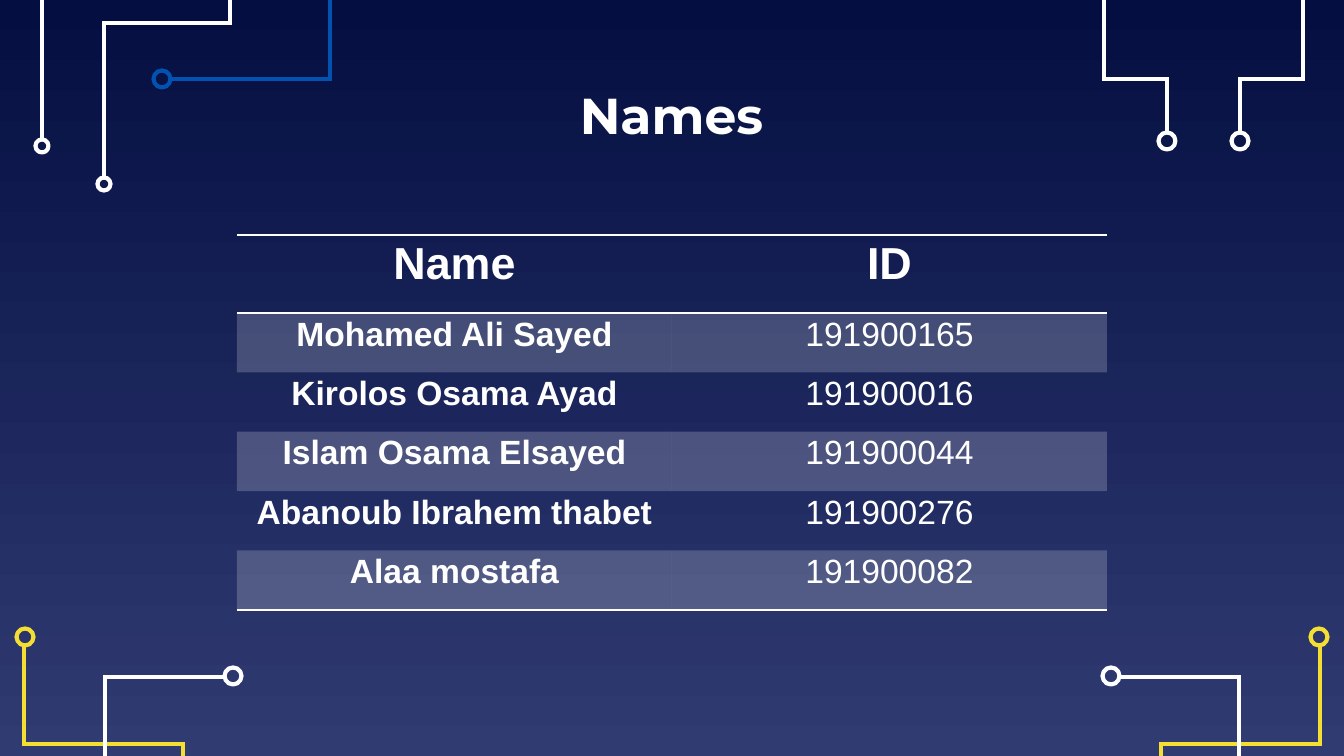
from pptx import Presentation
from pptx.dml.color import RGBColor
from pptx.enum.shapes import MSO_SHAPE as Shape
from pptx.enum.text import MSO_ANCHOR as Anchor, MSO_AUTO_SIZE as Fit, PP_ALIGN as Align
from pptx.oxml import parse_xml
from pptx.oxml.ns import nsdecls, qn
from pptx.util import Pt
from lxml.etree import SubElement

SCALE = 914400 / 134.4  # EMU in one px
WIDE, HIGH = 1344, 756

WHITE = RGBColor(0xFF, 0xFF, 0xFF)
YELLOW = RGBColor(0xF5, 0xDE, 0x34)
BLUE = RGBColor(0x01, 0x52, 0xB1)
NAVY = RGBColor(0x04, 0x0E, 0x41)
SLATE = RGBColor(0x30, 0x3B, 0x72)

NO_GRID = "{2D5ABB26-0587-4C30-8999-92F81FD0307C}"

ROWS = [
    ("Name", "ID"),
    ("Mohamed Ali Sayed", "191900165"),
    ("Kirolos Osama Ayad", "191900016"),
    ("Islam Osama Elsayed", "191900044"),
    ("Abanoub Ibrahem thabet", "191900276"),
    ("Alaa mostafa", "191900082"),
]

# Circuit traces: colour, ring centre, ring size, corner points
TOP = (WHITE, (1167, 141), 17, [(1167, 134), (1167, 79), (1104, 79), (1104, -70)])
GOLD = (YELLOW, (25, 637), 17, [(24, 645), (24, 744), (183, 744), (183, 839)])
LOW = (WHITE, (233, 676), 17, [(224, 677), (105, 677), (105, 825)])
LEFT = [
    (BLUE, (162, 79), 17, [(169, 79), (330, 79), (330, -69)]),
    (WHITE, (42, 146), 13, [(42, 139), (42, -15), (168, -15), (168, -169)]),
    (WHITE, (104, 184), 13, [(104, 177), (104, 23), (230, 23), (230, -132)]),
]


def px(n):
    return round(n * SCALE)


def flip(trace, total):
    """Mirror a trace left to right; total is the sum of both x values."""
    color, (x, y), size, points = trace
    return color, (total - x, y), size, [(total - a, b) for a, b in points]


def outline(shape, color):
    shape.shadow.inherit = False
    shape.fill.background()
    shape.line.color.rgb = color
    shape.line.width = Pt(2.25)


def add_trace(slide, color, ring, size, points):
    (x, y), *rest = points
    maker = slide.shapes.build_freeform(x, y, scale=SCALE)
    maker.add_line_segments(rest, close=False)
    wire = maker.convert_to_shape()
    outline(wire, color)
    SubElement(wire.line._get_or_add_ln(), qn("a:miter"), lim="800000")

    x, y = (c - size / 2 for c in ring)
    dot = slide.shapes.add_shape(Shape.OVAL, px(x), px(y), px(size), px(size))
    outline(dot, color)


def add_run(para, text, font, size, bold):
    para.alignment = Align.CENTER
    run = para.add_run()
    run.text = text
    run.font.name = font
    run.font.size = Pt(size)
    run.font.bold = bold
    run.font.color.rgb = WHITE


def set_title(slide, text):
    title = slide.shapes.title
    title.left, title.top, title.width, title.height = map(px, (218, 79, 907, 70))
    frame = title.text_frame
    frame.auto_size = Fit.NONE
    frame.word_wrap = True
    frame.vertical_anchor = Anchor.MIDDLE
    frame.margin_left = frame.margin_right = px(13)
    frame.margin_top = frame.margin_bottom = px(13)
    add_run(frame.paragraphs[0], text, "Montserrat", 27, True)


def add_rule(cell, side, spot):
    """Draw a 1 pt white border; borders come before the fill."""
    cell._tc.get_or_add_tcPr().insert(spot, parse_xml(
        f'<a:{side} {nsdecls("a")} w="12700"><a:solidFill>'
        f'<a:srgbClr val="{WHITE}"/></a:solidFill></a:{side}>'))


def fill_cell(cell, text, size, bold, shade):
    cell.margin_left = cell.margin_right = px(9)
    cell.margin_top = cell.margin_bottom = 0
    cell.vertical_anchor = Anchor.TOP
    para = cell.text_frame.paragraphs[0]
    para.line_spacing = 1.07
    add_run(para, text, "Arial", size, bold)
    if shade:
        cell.fill.solid()
        cell.fill.fore_color.rgb = WHITE
        tint = cell._tc.tcPr.find(".//" + qn("a:srgbClr"))
        SubElement(tint, qn("a:alpha"), val="20000")
    else:
        cell.fill.background()


def add_names(slide):
    high, head = 375, 78
    body = (high - head) / (len(ROWS) - 1)
    frame = slide.shapes.add_table(len(ROWS), 2, px(237), px(235), px(870), px(high))
    table = frame.table
    table.horz_banding = False
    table._tbl.tblPr.find(qn("a:tableStyleId")).text = NO_GRID
    for col in table.columns:
        col.width = px(435)
    for r, row in enumerate(ROWS):
        first = r == 0
        table.rows[r].height = px(head if first else body)
        for c, text in enumerate(row):
            cell = table.cell(r, c)
            fill_cell(cell, text, 24 if first else 18, first or c == 0, r % 2 == 1)
            if first:
                add_rule(cell, "lnT", 0)
                add_rule(cell, "lnB", 1)
            elif r == len(ROWS) - 1:
                add_rule(cell, "lnB", 0)


def set_back(slide):
    fill = slide.background.fill
    fill.gradient()
    fill.gradient_angle = 270
    for stop, color, place in zip(fill.gradient_stops, (NAVY, SLATE), (0, 1)):
        stop.color.rgb = color
        stop.position = place


def main():
    deck = Presentation()
    deck.slide_width, deck.slide_height = px(WIDE), px(HIGH)
    slide = deck.slides.add_slide(deck.slide_layouts[5])
    set_back(slide)

    # Circuit decoration
    traces = [TOP, flip(TOP, 2407), GOLD, LOW, *LEFT,
              flip(GOLD, WIDE), flip(LOW, WIDE)]
    for trace in traces:
        add_trace(slide, *trace)

    # Content
    set_title(slide, "Names")
    add_names(slide)
    deck.save("out.pptx")


if __name__ == "__main__":
    main()
